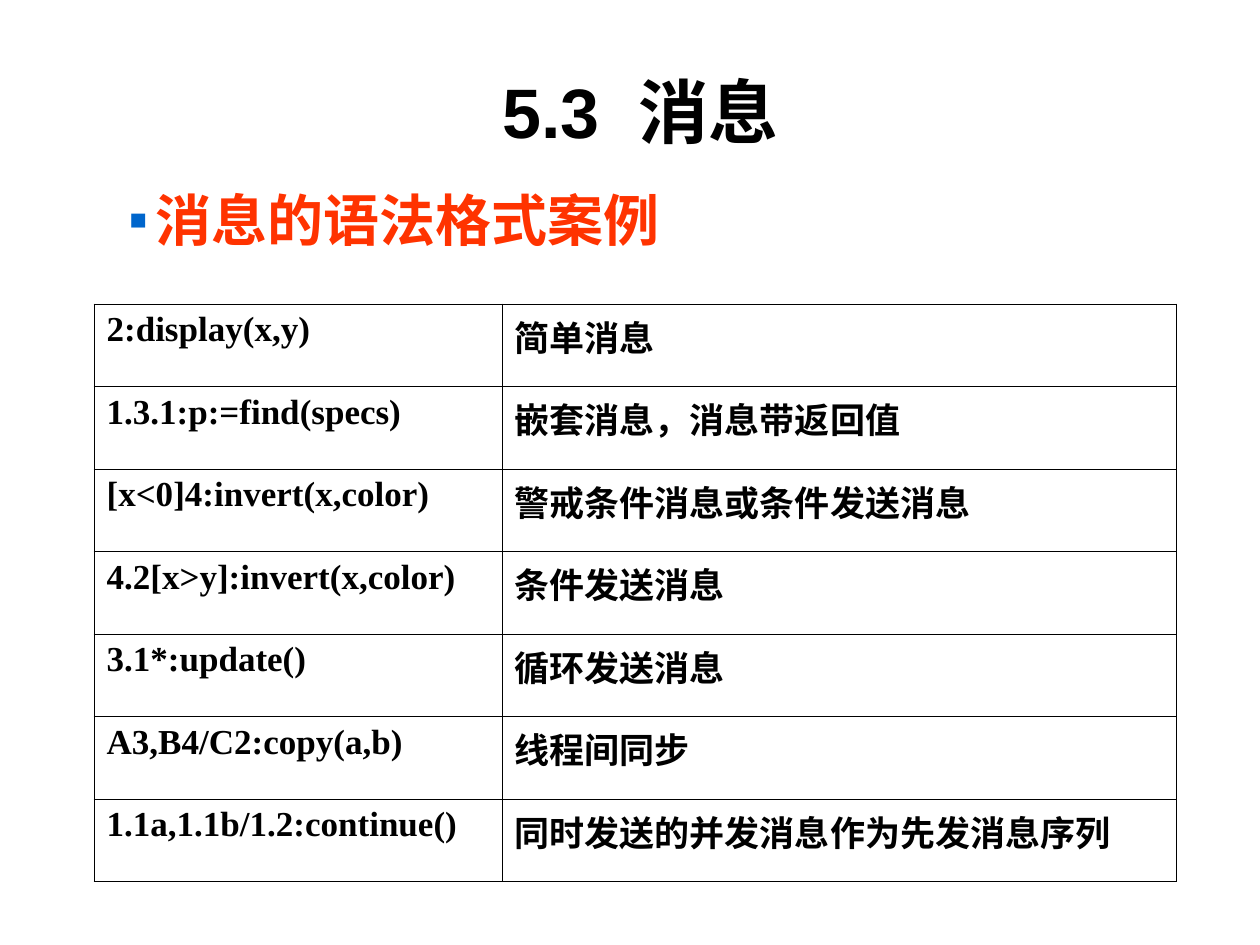
from lxml import etree
from pptx import Presentation
from pptx.dml.color import RGBColor
from pptx.enum.text import MSO_ANCHOR, PP_ALIGN
from pptx.oxml.ns import qn
from pptx.util import Inches, Pt

MIDDLE, TOP = MSO_ANCHOR.MIDDLE, MSO_ANCHOR.TOP
CENTER, LEFT = PP_ALIGN.CENTER, PP_ALIGN.LEFT
PX = Inches(10) / 1260


def px(n):
    return round(n * PX)


def add_run(p, text, size, font, color):
    r = p.add_run()
    r.text = text
    for name, value in {"size": Pt(size), "name": font, "bold": True}.items():
        setattr(r.font, name, value)
    r.font.color.rgb = RGBColor.from_string(color)
    return r


prs = Presentation()
prs.slide_width, prs.slide_height = px(1260), px(945)
s = prs.slides.add_slide(prs.slide_layouts[6])

# Title and subtitle
paragraphs = []
for box, anchor, align in [
    ((105, 32, 1071, 157), MIDDLE, CENTER),
    ((116, 179, 1018, 94), TOP, LEFT),
]:
    tf = s.shapes.add_textbox(*map(px, box)).text_frame
    tf.word_wrap = True
    tf.vertical_anchor = anchor
    p = tf.paragraphs[0]
    p.alignment = align
    paragraphs.append(p)
title, subtitle = paragraphs

add_run(title, "5.3", 40, "Arial", "000000")
gap = add_run(title, " ", 40, "Arial", "000000")
gap._r.get_or_add_rPr().set("spc", "1100")  # widen the gap after the number
add_run(title, "消息", 40, "Arial", "000000")

# Square bullet with a hanging indent
pPr = subtitle._p.get_or_add_pPr()
pPr.set("marL", str(px(27)))
pPr.set("indent", str(-px(27)))
bu_clr = etree.SubElement(pPr, qn("a:buClr"))
etree.SubElement(bu_clr, qn("a:srgbClr"), val="0066CC")
etree.SubElement(pPr, qn("a:buFont"), typeface="Arial")
etree.SubElement(pPr, qn("a:buChar"), char="▪")
add_run(subtitle, "消息的语法格式案例", 32, "Arial", "FF3300")

# Message syntax table
rows = [
    ("2:display(x,y)", "简单消息"),
    ("1.3.1:p:=find(specs)", "嵌套消息，消息带返回值"),
    ("[x<0]4:invert(x,color)", "警戒条件消息或条件发送消息"),
    ("4.2[x>y]:invert(x,color)", "条件发送消息"),
    ("3.1*:update()", "循环发送消息"),
    ("A3,B4/C2:copy(a,b)", "线程间同步"),
    ("1.1a,1.1b/1.2:continue()", "同时发送的并发消息作为先发消息序列"),
]
widths = (408, 674)
height = px(578)
table = s.shapes.add_table(
    len(rows), len(widths), px(94), px(304), px(sum(widths)), height
).table
table.first_row = table.horz_banding = False
for column, width in zip(table.columns, widths):
    column.width = px(width)

for i, texts in enumerate(rows):
    table.rows[i].height = height // len(rows)
    for j, text in enumerate(texts):
        cell = table.cell(i, j)
        add_run(cell.text_frame.paragraphs[0], text, 20, "Times New Roman", "000000")
        # Borders come before the fill in the cell properties
        tcPr = cell._tc.get_or_add_tcPr()
        for side in ("lnL", "lnR", "lnT", "lnB"):
            ln = etree.SubElement(tcPr, qn(f"a:{side}"), w=str(Pt(0.45)))
            fill = etree.SubElement(ln, qn("a:solidFill"))
            etree.SubElement(fill, qn("a:srgbClr"), val="000000")
        cell.fill.background()

prs.save("out.pptx")
